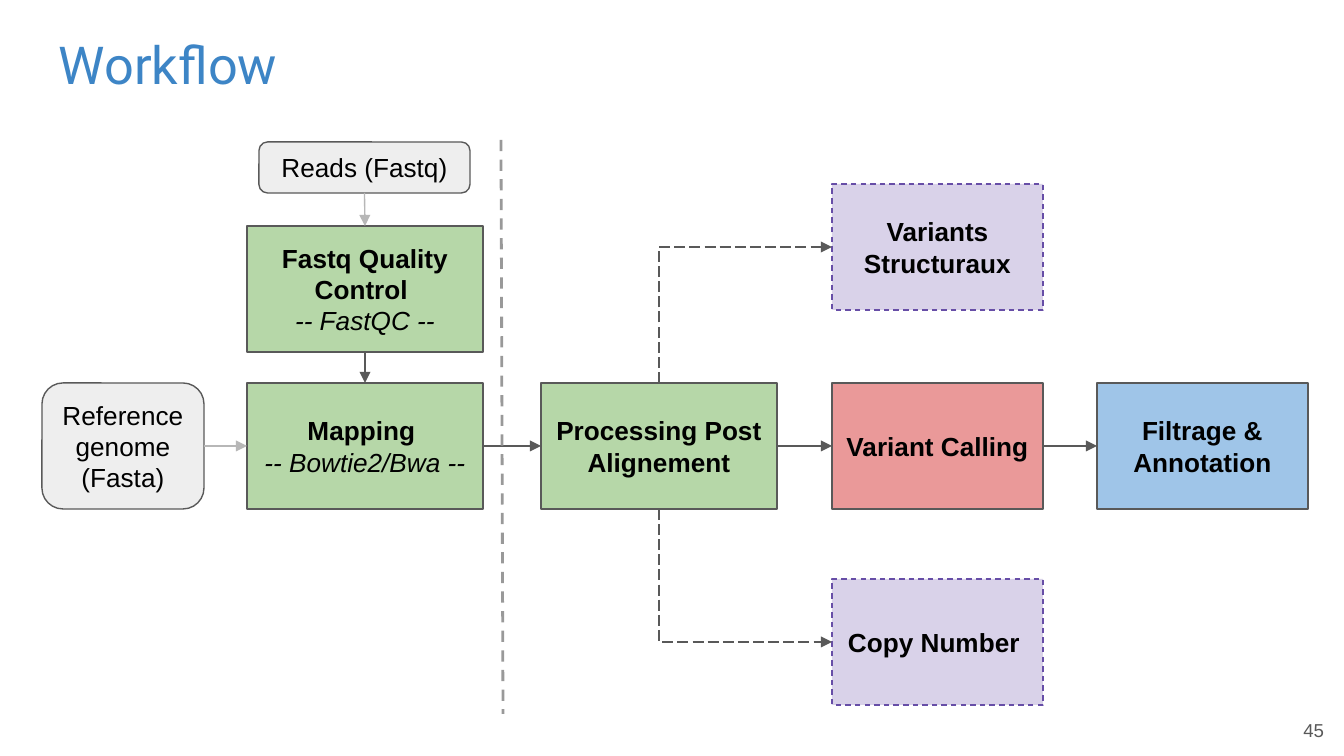
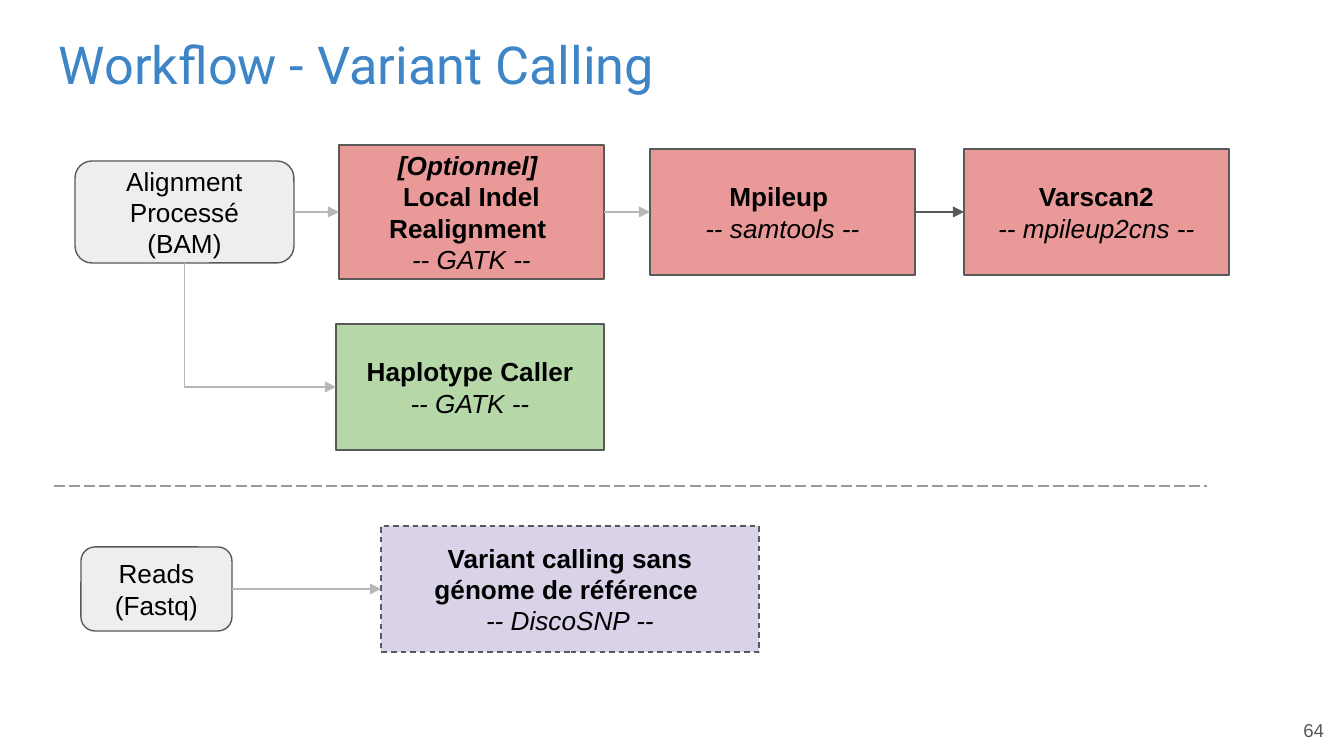
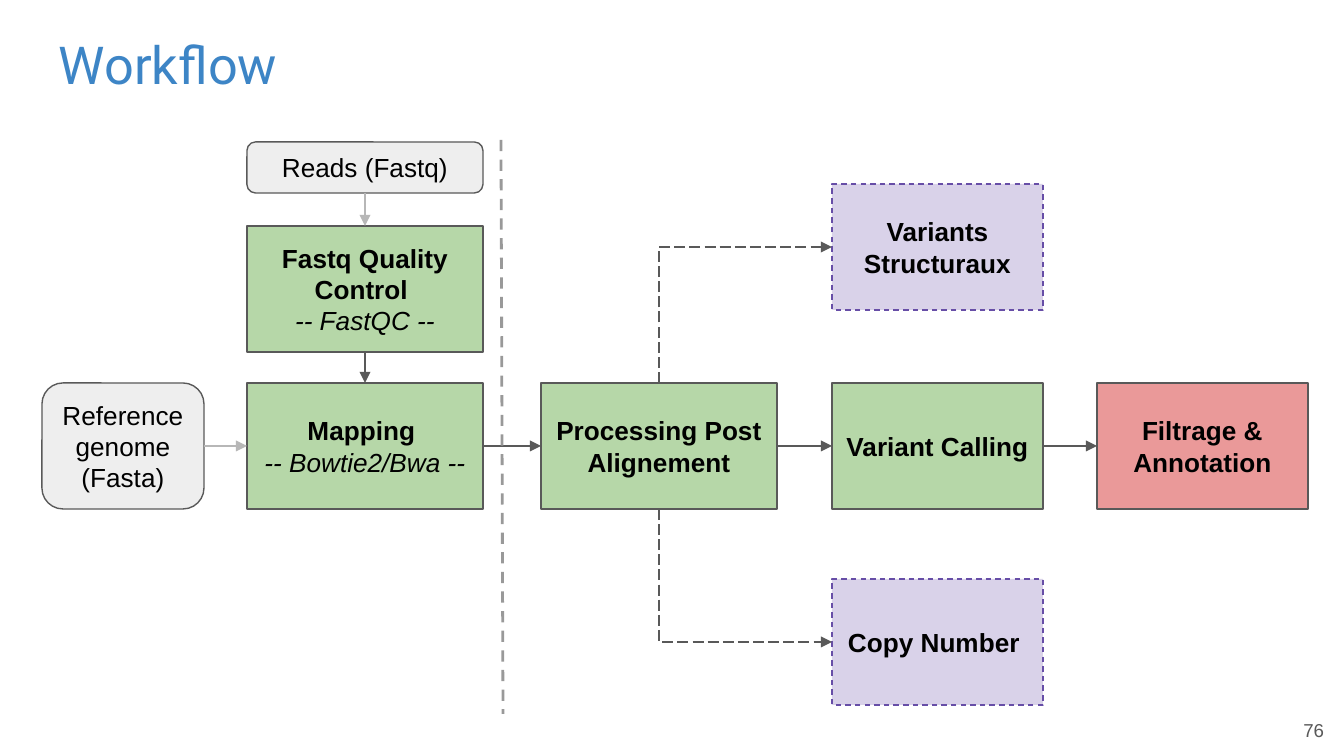
import pptx
import pptx.dml.color
import pptx.enum.dml
import pptx.enum.shapes
import pptx.enum.text
import pptx.oxml.ns
import pptx.oxml.xmlchemy
import pptx.util
import lxml.etree

RGBColor = pptx.dml.color.RGBColor
MSO_SHAPE = pptx.enum.shapes.MSO_SHAPE
MSO_CONNECTOR = pptx.enum.shapes.MSO_CONNECTOR
DASH = pptx.enum.dml.MSO_LINE.DASH
LONG_DASH = pptx.enum.dml.MSO_LINE.LONG_DASH
PP_ALIGN = pptx.enum.text.PP_ALIGN
MSO_ANCHOR = pptx.enum.text.MSO_ANCHOR
qn = pptx.oxml.ns.qn

BLACK = RGBColor(0x00, 0x00, 0x00)
TITLE_BLUE = RGBColor(0x3D, 0x85, 0xC6)
DARK = RGBColor(0x59, 0x59, 0x59)
GRAY = RGBColor(0xB7, 0xB7, 0xB7)
DIVIDER = RGBColor(0x99, 0x99, 0x99)
PALE = RGBColor(0xEE, 0xEE, 0xEE)
GREEN = RGBColor(0xB6, 0xD7, 0xA8)
RED = RGBColor(0xEA, 0x99, 0x99)
BLUE = RGBColor(0x9F, 0xC5, 0xE8)
LILAC = RGBColor(0xD9, 0xD2, 0xE9)
PURPLE = RGBColor(0x67, 0x4E, 0xA7)

RECT, ROUND = MSO_SHAPE.RECTANGLE, MSO_SHAPE.ROUNDED_RECTANGLE
STYLES = {
    "input": (ROUND, PALE, DARK, None),
    "done": (RECT, GREEN, DARK, None),
    "current": (RECT, RED, DARK, None),
    "next": (RECT, BLUE, DARK, None),
    "option": (RECT, LILAC, PURPLE, DASH),
    "alternative": (RECT, LILAC, DARK, DASH),
}

TOP, LEFT, BOTTOM, RIGHT = range(4)
ACROSS, DOWN = (RIGHT, LEFT), (BOTTOM, TOP)
INSET = 13
STEP_H = 126
ROW_Y = 383
VARIANT_X, VARIANT_W = 832, 211
STEP_X, STEP_W = 247, 236
CALL_Y, CALL_W = 149, 265


def pipeline(number, reads_x, reads_w, calling, filtering):
    return {
        "title": "Workflow",
        "number": number,
        "boxes": {
            "quality": ("done", (STEP_X, 226, STEP_W, STEP_H),
                        [("Fastq Quality Control ", "b"), ("-- FastQC --", "i")]),
            "mapping": ("done", (STEP_X, ROW_Y, STEP_W, STEP_H),
                        [("Mapping ", "b"), ("-- Bowtie2/Bwa --", "i")]),
            "reads": ("input", (reads_x, 142, reads_w, 51), [("Reads (Fastq)", "")]),
            "reference": ("input", (42, ROW_Y, 162, STEP_H),
                          [("Reference genome (Fasta)", "")]),
            "processing": ("done", (541, ROW_Y, STEP_W, STEP_H),
                           [("Processing Post Alignement", "b")]),
            "calling": (calling, (VARIANT_X, ROW_Y, VARIANT_W, STEP_H),
                        [("Variant Calling", "b")]),
            "filtering": (filtering, (1097, ROW_Y, VARIANT_W, STEP_H),
                          [("Filtrage & Annotation", "b")]),
            "structural": ("option", (VARIANT_X, 184, VARIANT_W, STEP_H),
                           [("Variants Structuraux", "b")]),
            "copies": ("option", (VARIANT_X, 579, VARIANT_W, STEP_H),
                       [("Copy Number ", "b")]),
        },
        "arrows": [
            ("processing", "calling", ACROSS, DARK),
            ("calling", "filtering", ACROSS, DARK),
            ("mapping", "processing", ACROSS, DARK),
            ("quality", "mapping", DOWN, DARK),
            ("reads", "quality", DOWN, GRAY),
            ("reference", "mapping", ACROSS, GRAY),
        ],
        "elbows": [
            ("processing", "copies", DARK, LONG_DASH),
            ("processing", "structural", DARK, LONG_DASH),
        ],
        "divider": ((501, 140, 503, 714), 1.5, DASH),
    }


VARIANT_CALLING = {
    "title": "Workflow - Variant Calling",
    "number": 64,
    "boxes": {
        "alignment": ("input", (75, 161, 219, 102), [("Alignment Processé (BAM)", "")]),
        "mpileup": ("current", (650, CALL_Y, CALL_W, STEP_H),
                    [("Mpileup ", "b"), ("-- samtools --", "i")]),
        "varscan": ("current", (964, CALL_Y, CALL_W, STEP_H),
                    [("Varscan2", "b"), ("-- mpileup2cns --", "i")]),
        "haplotype": ("done", (336, 324, 268, STEP_H),
                      [("Haplotype Caller", "b"), ("-- GATK --", "i")]),
        "discosnp": ("alternative", (381, 526, 378, STEP_H),
                     [("Variant calling sans génome de référence ", "b"),
                      ("-- DiscoSNP --", "i")]),
        "reads": ("input", (81, 547, 151, 84), [("Reads (Fastq)", "")]),
        "realignment": ("current", (339, 145, CALL_W, 134),
                        [("[Optionnel] ", "bi"), ("Local Indel Realignment ", "b"),
                         ("-- GATK --", "i")]),
    },
    "arrows": [
        ("mpileup", "varscan", ACROSS, DARK),
        ("realignment", "mpileup", ACROSS, GRAY),
        ("reads", "discosnp", ACROSS, GRAY),
        ("alignment", "realignment", ACROSS, GRAY),
    ],
    "elbows": [("alignment", "haplotype", GRAY, None)],
    "divider": ((54, 486, 1207, 486), 0.75, LONG_DASH),
}

SLIDES = [
    pipeline(45, 259, 211, "current", "next"),
    VARIANT_CALLING,
    pipeline(76, STEP_X, STEP_W, "done", "current"),
]


def px(n):
    return round(n * 914400 / 134.4)


def place(sp, x, y, w, h):
    sp.left, sp.top, sp.width, sp.height = px(x), px(y), px(w), px(h)


def set_frame(tf, anchor):
    tf.word_wrap = True
    tf.auto_size = pptx.enum.text.MSO_AUTO_SIZE.NONE
    tf.vertical_anchor = anchor
    tf.margin_left = tf.margin_top = tf.margin_right = tf.margin_bottom = px(INSET)


def set_text(p, text, size, color, align, font="Arial", style=""):
    p.text = text
    p.alignment = align
    for r in p.runs:
        r.font.name = font
        r.font.size = pptx.util.Pt(size)
        r.font.color.rgb = color
        r.font.bold = "b" in style
        r.font.italic = "i" in style


def set_line(line, color, width, dash):
    line.color.rgb = color
    line.width = pptx.util.Pt(width)
    if dash:
        line.dash_style = dash


def add_box(s, kind, frame, lines):
    shape, fill, line, dash = STYLES[kind]
    sp = s.shapes.add_shape(shape, *map(px, frame))
    sp.shadow.inherit = False
    sp.fill.solid()
    sp.fill.fore_color.rgb = fill
    set_line(sp.line, line, 0.75, dash)
    tf = sp.text_frame
    set_frame(tf, MSO_ANCHOR.MIDDLE)
    for i, (text, style) in enumerate(lines):
        p = tf.add_paragraph() if i else tf.paragraphs[0]
        set_text(p, text, 14, BLACK, PP_ALIGN.CENTER, style=style)
    return sp


def add_line(s, kind, ends, color, width=0.75, dash=None, arrow=True):
    c = s.shapes.add_connector(kind, *ends)
    set_line(c.line, color, width, dash)
    spPr = c._element.spPr
    if arrow:
        lxml.etree.SubElement(spPr.find(qn("a:ln")), qn("a:tailEnd"), type="triangle")
    lxml.etree.SubElement(spPr, qn("a:effectLst"))
    return c


def add_arrow(s, start, end, sides, color):
    c = add_line(s, MSO_CONNECTOR.STRAIGHT, (0, 0, 0, 0), color)
    c.begin_connect(start, sides[0])
    c.end_connect(end, sides[1])


def add_elbow(s, start, end, color, dash):
    x1, x2 = start.left + start.width // 2, end.left
    y2 = end.top + end.height // 2
    down = y2 > start.top
    y1 = start.top + start.height if down else start.top
    w, h = abs(y2 - y1), x2 - x1
    left, top = (x1 + x2 - w) // 2, (y1 + y2 - h) // 2
    c = add_line(s, MSO_CONNECTOR.ELBOW, (left, top, left + w, top + h), color, dash=dash)
    spPr = c._element.spPr
    spPr.find(qn("a:prstGeom")).set("prst", "bentConnector2")
    xfrm = spPr.find(qn("a:xfrm"))
    xfrm.set("rot", "16200000")
    if down:
        xfrm.set("flipH", "1")


def add_slide(prs, content):
    s = prs.slides.add_slide(prs.slide_layouts[5])
    title = s.shapes.title
    place(title, 46, 19, 1252, 85)
    set_frame(title.text_frame, MSO_ANCHOR.TOP)
    set_text(title.text_frame.paragraphs[0], content["title"], 28, TITLE_BLUE,
             PP_ALIGN.LEFT, font="Roboto")
    boxes = {name: add_box(s, *box) for name, box in content["boxes"].items()}
    for start, end, color, dash in content["elbows"]:
        add_elbow(s, boxes[start], boxes[end], color, dash)
    for start, end, sides, color in content["arrows"]:
        add_arrow(s, boxes[start], boxes[end], sides, color)
    ends, width, dash = content["divider"]
    add_line(s, MSO_CONNECTOR.STRAIGHT, map(px, ends), DIVIDER, width, dash, arrow=False)
    number = s.shapes.add_textbox(*map(px, (1257, 696, 80, 58)))
    set_frame(number.text_frame, MSO_ANCHOR.BOTTOM)
    set_text(number.text_frame.paragraphs[0], str(content["number"]), 10, DARK,
             PP_ALIGN.RIGHT)


def main():
    prs = pptx.Presentation()
    prs.slide_width, prs.slide_height = px(1344), px(756)
    for content in SLIDES:
        add_slide(prs, content)
    prs.save("out.pptx")


if __name__ == "__main__":
    main()
